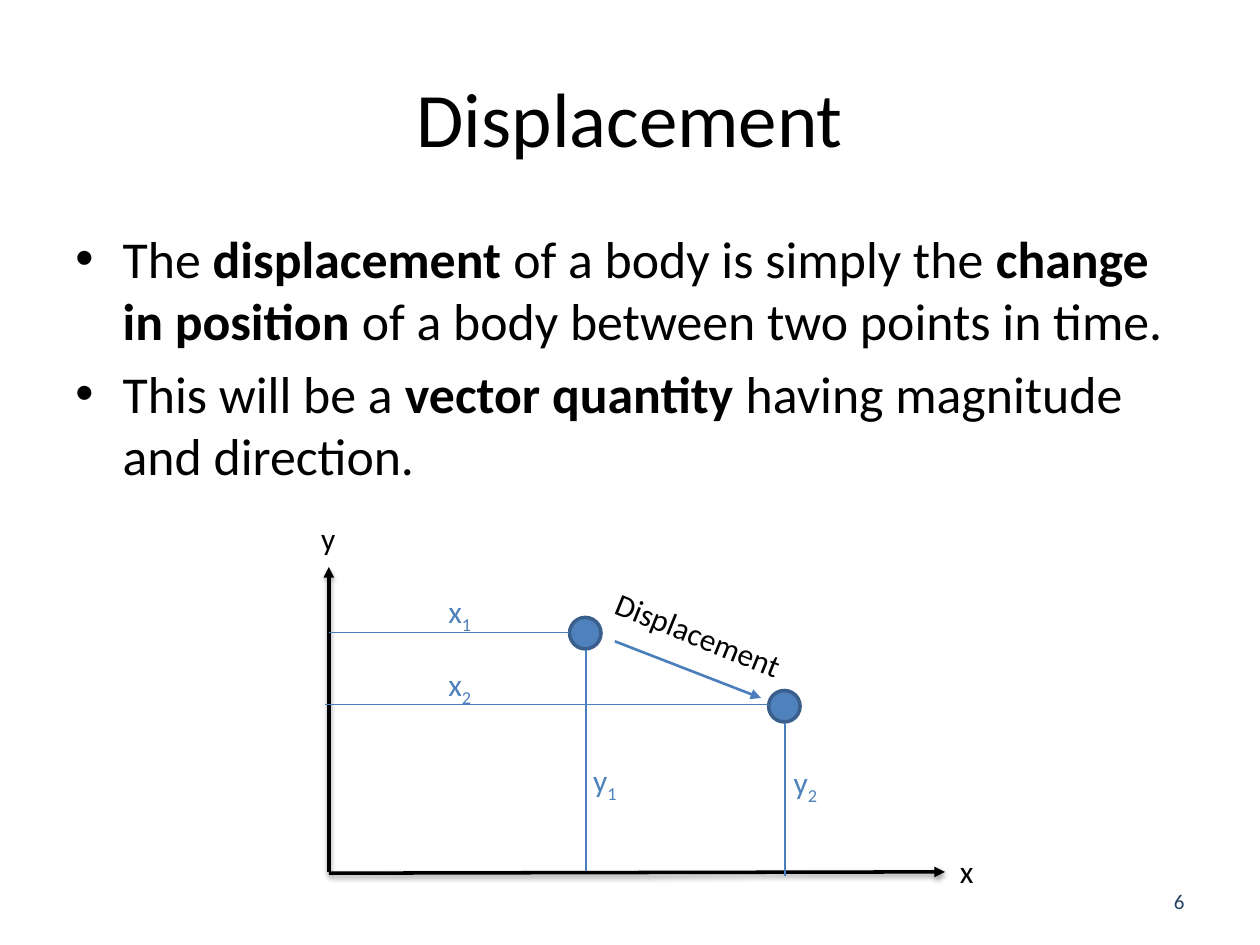
from dataclasses import dataclass

import pptx
import pptx.dml.color
import pptx.enum.shapes
import pptx.enum.text
import pptx.oxml
import pptx.oxml.ns
import pptx.util
from lxml import etree

ALIGN = pptx.enum.text.PP_ALIGN
ANCHOR = pptx.enum.text.MSO_ANCHOR
A = pptx.oxml.ns.nsdecls("a")
SHADOW = (
    f'<a:effectLst {A}><a:outerShdw blurRad="39400" dist="20300" dir="5400000" rotWithShape="0">'
    '<a:srgbClr val="000000"><a:alpha val="38000"/></a:srgbClr></a:outerShdw></a:effectLst>'
)


def rgb(code):
    return pptx.dml.color.RGBColor.from_string(code)


@dataclass(frozen=True)
class Theme:
    font: str = "Calibri"
    ink: str = "000000"
    accent: str = "4F81BD"
    outline: str = "3A5F8C"
    guide: str = "4B7EBC"
    number: str = "254061"
    title_size: float = 44
    body_size: float = 29.6
    label_size: float = 18
    number_size: float = 12
    thin: float = 0.75
    medium: float = 1.5
    thick: float = 2


class Board:
    """One slide measured on a grid of 100 columns by 75 rows."""

    def __init__(self, prs, theme):
        self.theme = theme
        self.s = prs.slides.add_slide(prs.slide_layouts[6])
        self.unit = prs.slide_width / 100

    def grid(self, *lengths):
        return [round(n * self.unit) for n in lengths]

    def run(self, p, text, size, color, bold=None, subscript=False):
        r = p.add_run()
        r.text = text
        r.font.name = self.theme.font
        r.font.size = pptx.util.Pt(size)
        r.font.bold = bold
        r.font.color.rgb = rgb(color)
        if subscript:
            r.font._element.set("baseline", "-25000")

    def box(self, at, wrap=True, anchor=ANCHOR.TOP):
        sp = self.s.shapes.add_textbox(*self.grid(*at))
        sp.text_frame.word_wrap = wrap
        sp.text_frame.vertical_anchor = anchor
        return sp

    def line_of_text(self, at, text, size, color, align):
        p = self.box(at, anchor=ANCHOR.MIDDLE).text_frame.paragraphs[0]
        p.alignment = align
        self.run(p, text, size, color)

    def bullets(self, at, items):
        """Each item is a list of texts that alternate between plain and bold."""
        tf = self.box(at).text_frame
        for i, texts in enumerate(items):
            p = tf.add_paragraph() if i else tf.paragraphs[0]
            if i:
                p.space_before = pptx.util.Pt(6)
            pPr = p._p.get_or_add_pPr()
            pPr.set("marL", "342900")
            pPr.set("indent", "-342900")
            pPr.append(pptx.oxml.parse_xml(f'<a:buFont {A} typeface="Arial"/>'))
            pPr.append(pptx.oxml.parse_xml(f'<a:buChar {A} char="•"/>'))
            for j, text in enumerate(texts):
                self.run(p, text, self.theme.body_size, self.theme.ink, bold=j % 2 == 1)

    def label(self, left, top, width, text, color, subscript="", rotation=0):
        sp = self.box((left, top, width, 4), wrap=False)
        sp.text_frame.auto_size = pptx.enum.text.MSO_AUTO_SIZE.SHAPE_TO_FIT_TEXT
        sp.rotation = rotation
        p = sp.text_frame.paragraphs[0]
        self.run(p, text, self.theme.label_size, color)
        if subscript:
            self.run(p, subscript, self.theme.label_size, color, subscript=True)

    def line(self, start, end, color, width, arrow=False, shadow=False):
        straight = pptx.enum.shapes.MSO_CONNECTOR.STRAIGHT
        sp = self.s.shapes.add_connector(straight, *self.grid(*start, *end))
        sp.line.color.rgb = rgb(color)
        sp.line.width = pptx.util.Pt(width)
        if arrow:
            etree.SubElement(sp.line._get_or_add_ln(), pptx.oxml.ns.qn("a:tailEnd"), type="triangle")
        effects = SHADOW if shadow else f"<a:effectLst {A}/>"
        sp._element.spPr.append(pptx.oxml.parse_xml(effects))

    def point(self, left, top, size=2.5):
        oval = pptx.enum.shapes.MSO_SHAPE.OVAL
        sp = self.s.shapes.add_shape(oval, *self.grid(left, top, size, size))
        sp.shadow.inherit = False
        sp.fill.solid()
        sp.fill.fore_color.rgb = rgb(self.theme.accent)
        sp.line.color.rgb = rgb(self.theme.outline)
        sp.line.width = pptx.util.Pt(self.theme.thick)


def main():
    prs = pptx.Presentation()
    prs.slide_width = pptx.util.Inches(10)
    prs.slide_height = pptx.util.Inches(7.5)
    theme = Theme()
    board = Board(prs, theme)

    board.line_of_text((5, 3, 90, 12.5), "Displacement", theme.title_size, theme.ink, ALIGN.CENTER)
    board.bullets((5, 17.5, 90, 22.1), [
        ["The ", "displacement", " of a body is simply the ", "change in position",
         " of a body between two points in time."],
        ["This will be a ", "vector quantity", " having magnitude and direction."],
    ])
    board.line_of_text((71.7, 69.5, 23.3, 4), "6", theme.number_size, theme.number, ALIGN.RIGHT)

    for start, end in [((26.1, 69.2), (26.1, 45)), ((26.1, 69.3), (75, 69.2))]:
        board.line(start, end, theme.ink, theme.thick, arrow=True, shadow=True)
    board.label(24.5, 40.7, 3.2, "y", theme.ink)
    board.label(75.2, 67.1, 3.1, "x", theme.ink)

    # number, point corner, guide height, guide start, guide foot, x label top, y label corner
    bodies = [
        ("1", (45.2, 49), 50.2, 26.1, 69.1, 46.5, (46.1, 59.9)),
        ("2", (61, 54.8), 55.9, 25.8, 69.5, 52.3, (62, 60.1)),
    ]
    for number, (left, top), height, start, foot, x_top, y_corner in bodies:
        middle = left + 1.3
        board.point(left, top)
        board.line((start, height), (left, height), theme.guide, theme.thin)
        board.line((middle, foot), (middle, top + 2.6), theme.guide, theme.thin)
        board.label(34.6, x_top, 4, "x", theme.accent, number)
        board.label(*y_corner, 4, "y", theme.accent, number)

    board.line((48.8, 50.9), (60.4, 55.4), theme.guide, theme.medium, arrow=True)
    board.label(47.5, 48.5, 16.6, "Displacement", theme.ink, rotation=22.1)

    prs.save("out.pptx")


if __name__ == "__main__":
    main()
